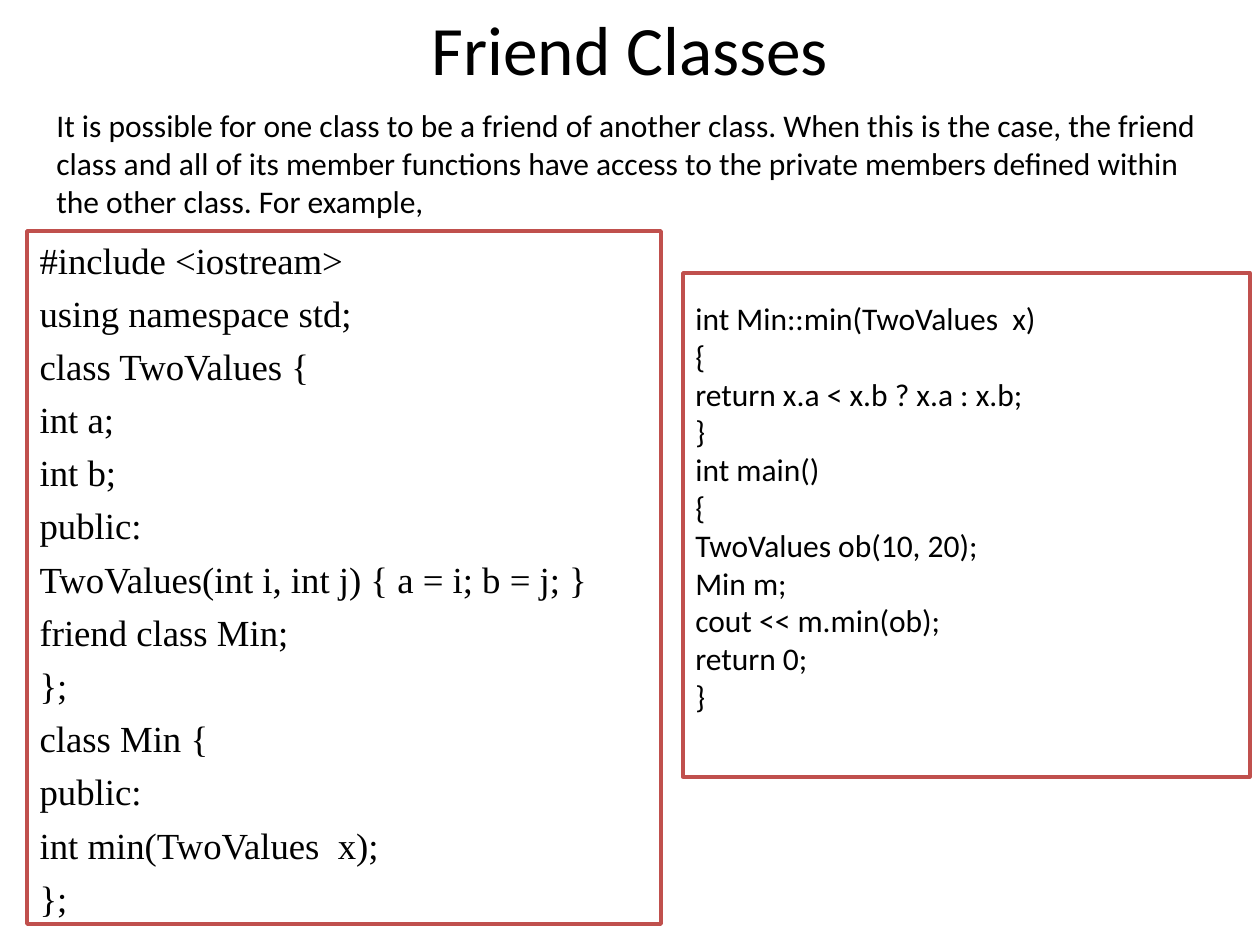
from dataclasses import dataclass

from lxml import etree
from pptx import Presentation
from pptx.dml.color import RGBColor
from pptx.enum.shapes import MSO_SHAPE
from pptx.enum.text import MSO_ANCHOR, MSO_AUTO_SIZE, PP_ALIGN
from pptx.oxml.ns import qn
from pptx.util import Pt

EMU_PER_PX = 914400 / 126
RECTANGLE = MSO_SHAPE.RECTANGLE
TOP, MIDDLE = MSO_ANCHOR.TOP, MSO_ANCHOR.MIDDLE
LEFT, CENTER = PP_ALIGN.LEFT, PP_ALIGN.CENTER
NO_AUTOFIT = MSO_AUTO_SIZE.NONE
TITLE_AND_CONTENT = 1


@dataclass(frozen=True)
class Theme:
    text: RGBColor = RGBColor(0x00, 0x00, 0x00)
    paper: RGBColor = RGBColor(0xFF, 0xFF, 0xFF)
    frame: RGBColor = RGBColor(0xC0, 0x50, 0x4D)
    font: str = "Calibri"
    code_font: str = "Times New Roman"
    title_size: float = 39.6
    text_size: float = 18
    code_size: float = 21
    code_gap: float = 5.2
    line_width: float = 2


THEME = Theme()

INTRODUCTION = (
    "It is possible for one class to be a friend of another class. "
    "When this is the case, the friend class and all of its member functions "
    "have access to the private members defined within the other class. "
    "For example,"
)

CLASS_CODE = """#include <iostream>
using namespace std;
class TwoValues {
int a;
int b;
public:
TwoValues(int i, int j) { a = i; b = j; }
friend class Min;
};
class Min {
public:
int min(TwoValues  x);
};"""

MAIN_CODE = """int Min::min(TwoValues  x)
{
return x.a < x.b ? x.a : x.b;
}
int main()
{
TwoValues ob(10, 20);
Min m;
cout << m.min(ob);
return 0;
}"""


def px(length):
    return round(length * EMU_PER_PX)


def place(shape, left, top, width, height):
    shape.left, shape.top = px(left), px(top)
    shape.width, shape.height = px(width), px(height)


def write_text(shape, text, *, size=THEME.text_size, font=THEME.font,
               align=LEFT, anchor=MIDDLE, gap=0, margin_top=None):
    """Write one paragraph per line of text."""
    frame = shape.text_frame
    frame.text = text
    frame.word_wrap = True
    frame.auto_size = NO_AUTOFIT
    frame.vertical_anchor = anchor
    if margin_top is not None:
        frame.margin_top = px(margin_top)
    for paragraph in frame.paragraphs:
        paragraph.alignment = align
        paragraph.space_before = Pt(gap)
        for run in paragraph.runs:
            run.font.name = font
            run.font.size = Pt(size)
            run.font.color.rgb = THEME.text


def remove_bullets(shape):
    for paragraph in shape.text_frame.paragraphs:
        properties = paragraph._p.get_or_add_pPr()
        properties.set("marL", "0")
        properties.set("indent", "0")
        etree.SubElement(properties, qn("a:buNone"))


def style_box(shape, line_color):
    shape.fill.solid()
    shape.fill.fore_color.rgb = THEME.paper
    shape.line.color.rgb = line_color
    shape.line.width = Pt(THEME.line_width)


def add_box(slide, bounds, text, line_color, **text_format):
    box = slide.shapes.add_shape(RECTANGLE, 0, 0, 0, 0)
    place(box, *bounds)
    box.shadow.inherit = False
    style_box(box, line_color)
    write_text(box, text, **text_format)


def main():
    presentation = Presentation()
    presentation.slide_width, presentation.slide_height = px(1260), px(945)
    layout = presentation.slide_layouts[TITLE_AND_CONTENT]
    slide = presentation.slides.add_slide(layout)

    # Title
    title = slide.shapes.title
    place(title, 63, 0, 1134, 95)
    write_text(title, "Friend Classes", size=THEME.title_size, align=CENTER)

    # Class definitions
    body = slide.placeholders[1]
    place(body, 27, 231, 634, 693)
    style_box(body, THEME.frame)
    write_text(body, CLASS_CODE, size=THEME.code_size, font=THEME.code_font,
               anchor=TOP, gap=THEME.code_gap)
    remove_bullets(body)

    # Member function and main program
    add_box(slide, (683, 273, 567, 504), MAIN_CODE, THEME.frame,
            anchor=TOP, margin_top=26)

    # Introduction
    add_box(slide, (44, 105, 1166, 116), INTRODUCTION, THEME.paper)

    presentation.save("out.pptx")


if __name__ == "__main__":
    main()
